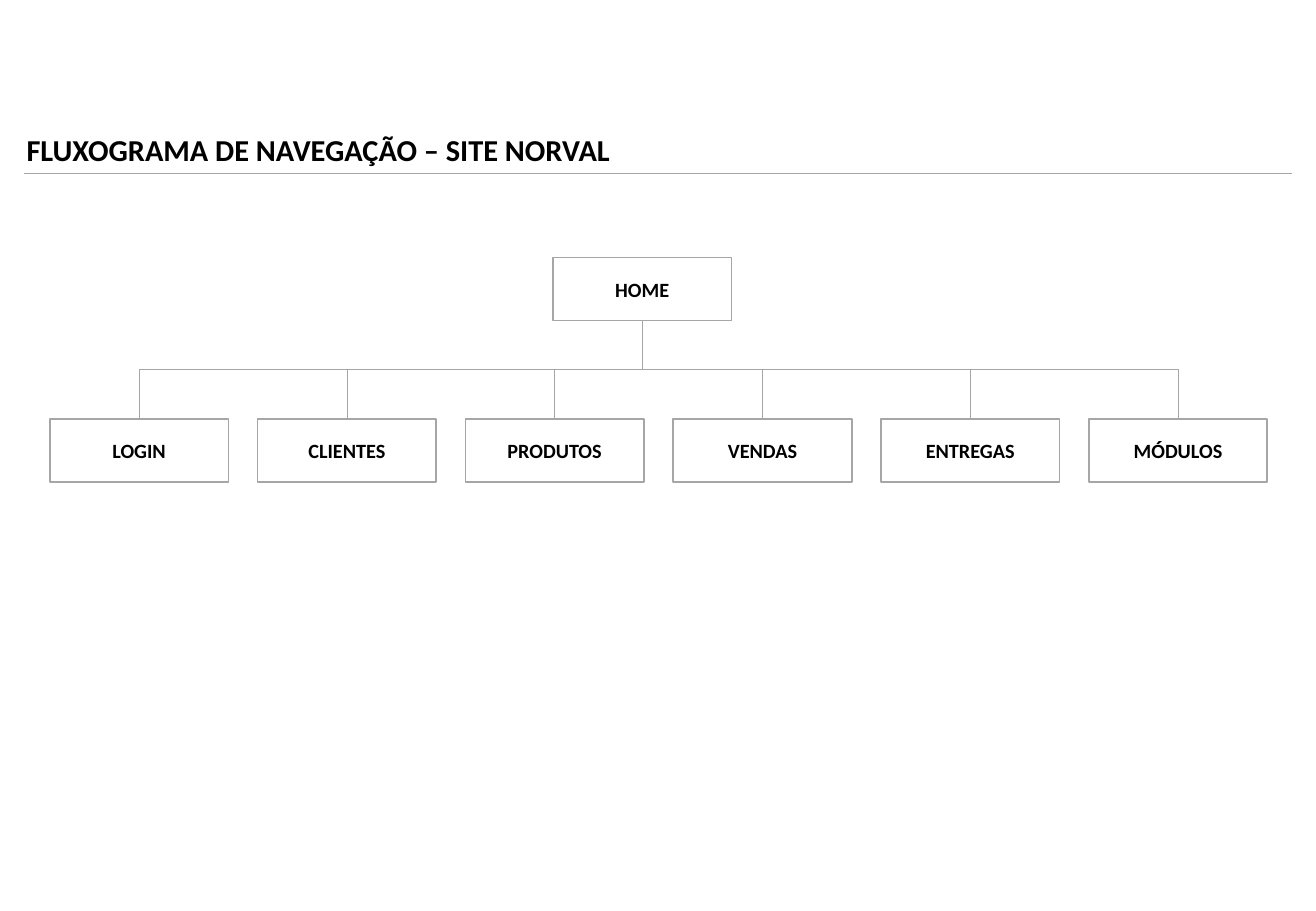
import pptx
import pptx.dml.color
import pptx.enum.shapes
import pptx.enum.text
import pptx.oxml.ns
import pptx.util
from lxml import etree

Inches = pptx.util.Inches
Pt = pptx.util.Pt
qn = pptx.oxml.ns.qn
Kind = pptx.enum.shapes.MSO_CONNECTOR
Align = pptx.enum.text.PP_ALIGN
Anchor = pptx.enum.text.MSO_ANCHOR

BLACK = pptx.dml.color.RGBColor(0x00, 0x00, 0x00)
WHITE = pptx.dml.color.RGBColor(0xFF, 0xFF, 0xFF)
GRAY = pptx.dml.color.RGBColor(0xA6, 0xA6, 0xA6)

WIDE, HIGH = 1.47, 0.52
HOME_X, HOME_Y = 4.55, 2.12
ROW_X, ROW_Y, STEP = 0.41, 3.45, 1.71
PAGES = ["LOGIN", "CLIENTES", "PRODUTOS", "VENDAS", "ENTREGAS", "MÓDULOS"]

deck = pptx.Presentation()
deck.slide_width = Inches(10.83)
deck.slide_height = Inches(7.5)
slide = deck.slides.add_slide(deck.slide_layouts[6])
shapes = slide.shapes


def write(shape, text, size, align):
    para = shape.text_frame.paragraphs[0]
    para.alignment = align
    run = para.add_run()
    run.text = text
    run.font.name = "Calibri"
    run.font.size = Pt(size)
    run.font.bold = True
    run.font.color.rgb = BLACK


def draw(kind, x1, y1, x2, y2):
    """Add a thin gray connector without a shadow."""
    line = shapes.add_connector(kind, Inches(x1), Inches(y1), Inches(x2), Inches(y2))
    line.line.color.rgb = GRAY
    line.line.width = Pt(0.5)
    etree.SubElement(line.element.spPr, qn("a:effectLst"))
    return line


# Title and rule
title = shapes.add_textbox(Inches(0.12), Inches(1.03), Inches(5.43), Inches(0.4))
title.text_frame.word_wrap = True
title.text_frame.auto_size = pptx.enum.text.MSO_AUTO_SIZE.SHAPE_TO_FIT_TEXT
write(title, "FLUXOGRAMA DE NAVEGAÇÃO – SITE NORVAL", 18, Align.LEFT)
draw(Kind.STRAIGHT, 0.2, 1.43, 10.63, 1.43)

# Boxes: home on top, its pages in a row
spots = [("HOME", HOME_X, HOME_Y)]
spots += [(page, ROW_X + i * STEP, ROW_Y) for i, page in enumerate(PAGES)]
boxes = []
for text, x, y in spots:
    box = shapes.add_shape(pptx.enum.shapes.MSO_SHAPE.RECTANGLE,
                           Inches(x), Inches(y), Inches(WIDE), Inches(HIGH))
    box.shadow.inherit = False
    box.fill.solid()
    box.fill.fore_color.rgb = WHITE
    box.line.color.rgb = GRAY
    box.line.width = Pt(1)
    box.text_frame.word_wrap = True
    box.text_frame.vertical_anchor = Anchor.MIDDLE
    write(box, text, 12, Align.CENTER)
    boxes.append(box)

# Elbows from home to each page, turned a quarter so they leave downwards
home, *pages = boxes
x1, y1 = HOME_X + WIDE / 2, HOME_Y + HIGH
drop = ROW_Y - y1
for i, page in enumerate(pages):
    x2 = ROW_X + i * STEP + WIDE / 2
    span = abs(x2 - x1)
    elbow = draw(Kind.ELBOW, x1, y1, x2, ROW_Y)
    elbow.begin_connect(home, 2)
    elbow.end_connect(page, 0)
    elbow.left = Inches((x1 + x2 - drop) / 2)
    elbow.top = Inches((y1 + ROW_Y - span) / 2)
    elbow.width = Inches(drop)
    elbow.height = Inches(span)
    frame = elbow.element.spPr.find(qn("a:xfrm"))
    right = x2 > x1
    frame.set("rot", "16200000" if right else "5400000")
    frame.set("flipH", "1" if right else "0")

deck.save("out.pptx")
